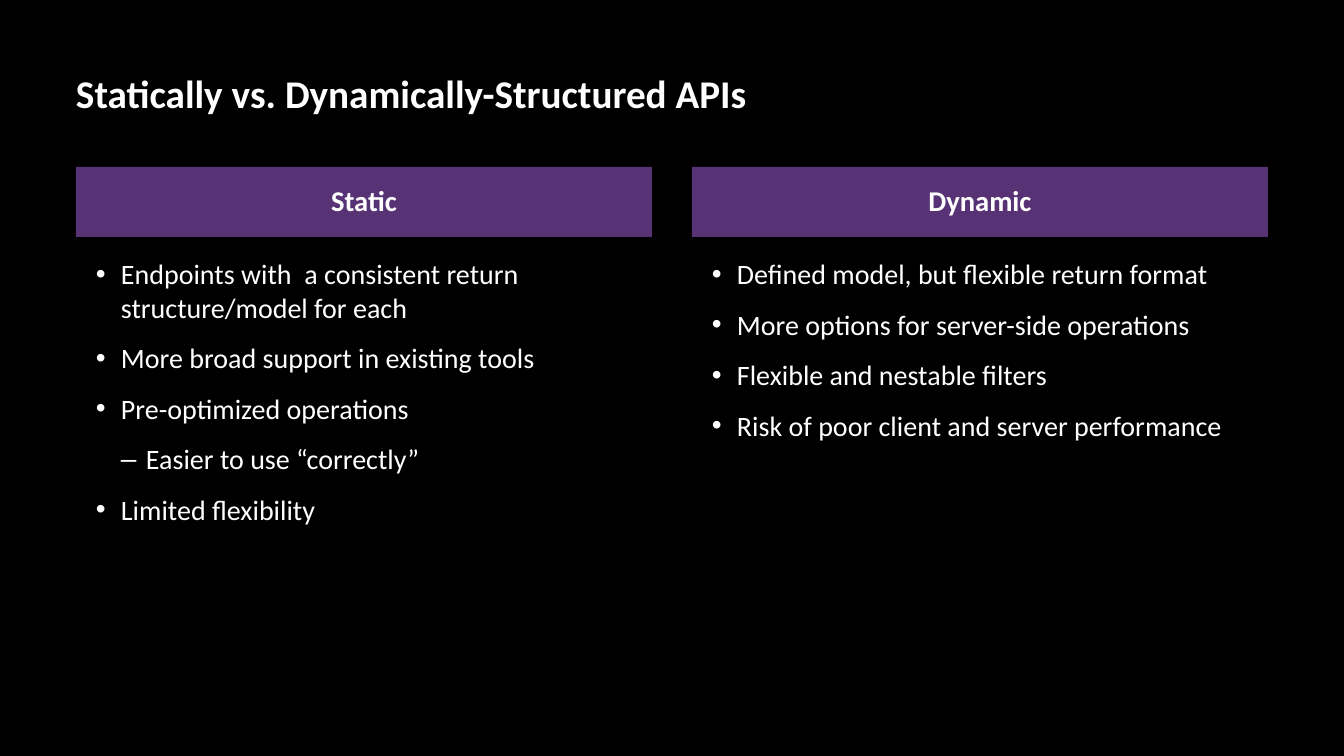
from lxml import etree
from pptx import Presentation
from pptx import util as u
from pptx.dml import color
from pptx.enum import shapes, text
from pptx.oxml import ns

PX = 914400 / 100.8


def px(length):
    return u.Emu(round(length * PX))


def rgb(value):
    return color.RGBColor.from_string(value)


def assign(target, values):
    for name, value in values.items():
        setattr(target, name, value)


class Canvas:
    font = "Calibri"
    ink = "FFFFFF"
    accent = "573376"
    indent = 25
    bullets = ("•", "–")

    def __init__(self, deck, background):
        self.page = deck.slides.add_slide(deck.slide_layouts[6])
        fill = self.page.background.fill
        fill.solid()
        fill.fore_color.rgb = rgb(background)

    def frame(self, shape, inset, anchor):
        frame = shape.text_frame
        sides = ("margin_left", "margin_top", "margin_right", "margin_bottom")
        assign(frame, {side: px(inset) for side in sides})
        assign(frame, {"word_wrap": True, "vertical_anchor": anchor})
        return frame

    def add_words(self, para, words, size, bold=False, **layout):
        assign(para, {"space_after": u.Pt(12), **layout})
        span = para.add_run()
        span.text = words
        assign(span.font, {"name": self.font, "size": u.Pt(size), "bold": bold})
        span.font.color.rgb = rgb(self.ink)

    def title(self, words, place):
        box = self.page.shapes.add_textbox(*map(px, place))
        frame = self.frame(box, 0, text.MSO_ANCHOR.BOTTOM)
        self.add_words(frame.paragraphs[0], words, 28, True)

    def heading(self, words, place):
        bar = self.page.shapes.add_shape(shapes.MSO_SHAPE.RECTANGLE, *map(px, place))
        bar.shadow.inherit = False
        bar.fill.solid()
        bar.fill.fore_color.rgb = rgb(self.accent)
        bar.line.fill.background()
        frame = self.frame(bar, 20, text.MSO_ANCHOR.MIDDLE)
        self.add_words(frame.paragraphs[0], words, 20.4, True,
                       alignment=text.PP_ALIGN.CENTER, line_spacing=0.9)

    def bullet(self, para, level):
        properties = para._p.get_or_add_pPr()
        properties.set("marL", str(px(self.indent * (level + 1))))
        properties.set("indent", str(-px(self.indent)))
        face = etree.SubElement(properties, ns.qn("a:buFont"))
        face.set("typeface", "Arial")
        mark = etree.SubElement(properties, ns.qn("a:buChar"))
        mark.set("char", self.bullets[level])

    def points(self, items, place):
        box = self.page.shapes.add_textbox(*map(px, place))
        frame = self.frame(box, 20, text.MSO_ANCHOR.TOP)
        for index, (level, words) in enumerate(items):
            para = frame.add_paragraph() if index else frame.paragraphs[0]
            self.bullet(para, level)
            self.add_words(para, words, 20, level=level)


COLUMNS = {
    "Static": [
        (0, "Endpoints with  a consistent return structure/model for each"),
        (0, "More broad support in existing tools"),
        (0, "Pre-optimized operations"),
        (1, "Easier to use “correctly”"),
        (0, "Limited flexibility"),
    ],
    "Dynamic": [
        (0, "Defined model, but flexible return format"),
        (0, "More options for server-side operations"),
        (0, "Flexible and nestable filters"),
        (0, "Risk of poor client and server performance"),
    ],
}


def main():
    deck = Presentation()
    assign(deck, {"slide_width": px(1344), "slide_height": px(756)})
    canvas = Canvas(deck, "000000")
    margin, width, gap = 76, 576, 40
    top, bar_height, list_height = 167, 70, 444
    canvas.title("Statically vs. Dynamically-Structured APIs",
                 (margin, 32, 2 * width + gap, 84))
    for index, (name, items) in enumerate(COLUMNS.items()):
        left = margin + index * (width + gap)
        canvas.heading(name, (left, top, width, bar_height))
        canvas.points(items, (left, top + bar_height, width, list_height))
    deck.save("out.pptx")


if __name__ == "__main__":
    main()
